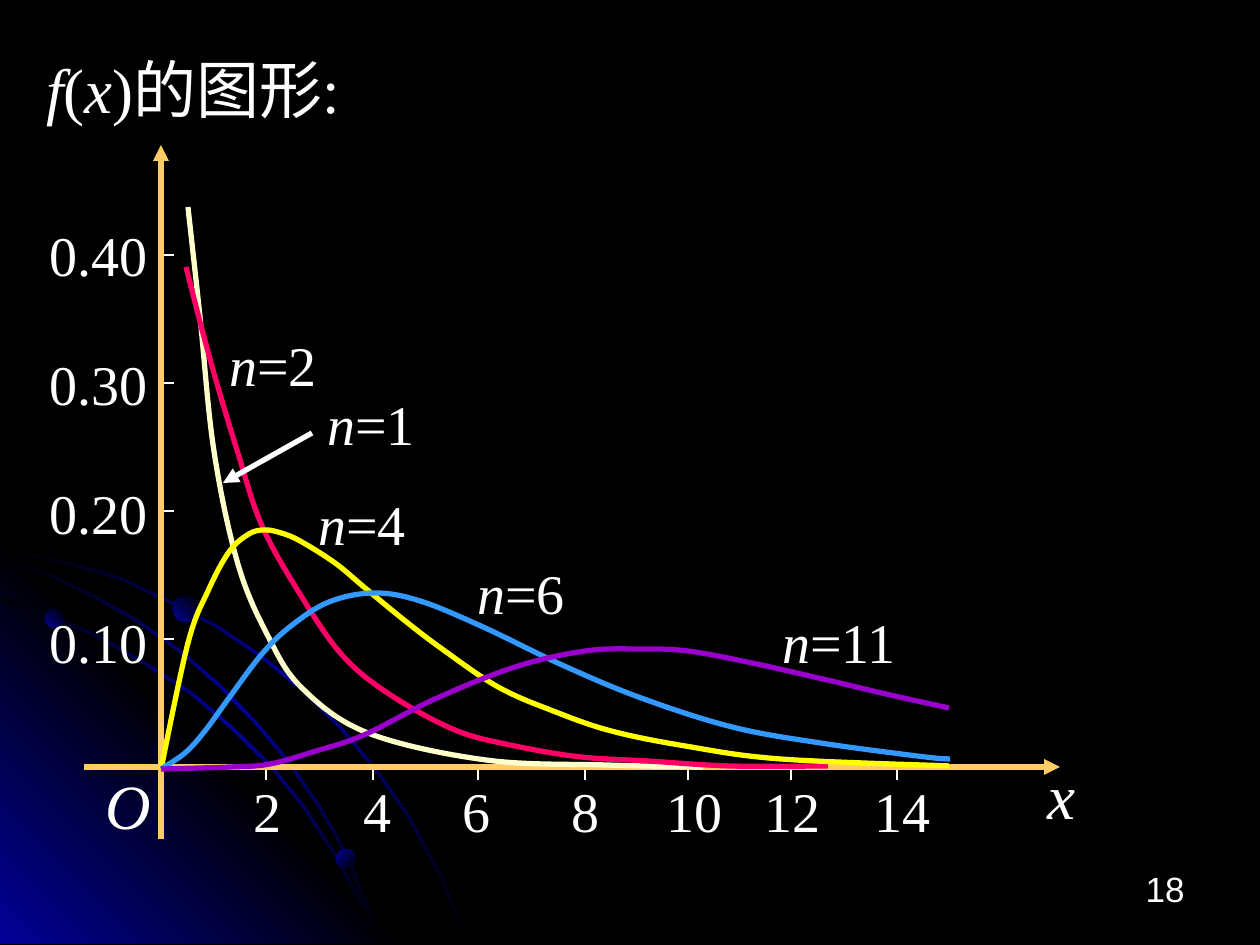
from dataclasses import dataclass

from lxml.etree import SubElement
from pptx import Presentation
from pptx.dml.color import RGBColor
from pptx.enum.shapes import MSO_CONNECTOR, MSO_SHAPE
from pptx.enum.text import PP_ALIGN as Align
from pptx.oxml.ns import qn
from pptx.util import Emu, Pt

EMU_PER_PX = 914400 / 126
WIDTH, HEIGHT = 1260, 945

BLACK = RGBColor(0x00, 0x00, 0x00)
WHITE = RGBColor(0xFF, 0xFF, 0xFF)
NAVY = RGBColor(0x01, 0x01, 0x99)
GOLD = RGBColor(0xFF, 0xCC, 0x66)
CREAM = RGBColor(0xFF, 0xFF, 0xCC)
PINK = RGBColor(0xFF, 0x00, 0x66)
YELLOW = RGBColor(0xFF, 0xFF, 0x00)
BLUE = RGBColor(0x33, 0x99, 0xFF)
PURPLE = RGBColor(0x99, 0x00, 0xCC)

Point = tuple[int, int]


@dataclass
class Density:
    color: RGBColor
    knots: list[Point]
    degrees: str
    label_at: Point


@dataclass
class Ball:
    left: int
    top: int
    size: int
    angle: int


@dataclass
class Label:
    """Runs are pairs of wording and italic."""
    left: int
    top: int
    width: int
    height: int
    runs: list[tuple[str, bool]]
    size: int = 32
    align: Align = Align.CENTER
    font: str = "Times New Roman"


DENSITIES = [
    Density(CREAM, [(188, 207), (200, 316), (214, 451), (238, 564), (268, 636), (302, 688),
                    (368, 733), (486, 760), (606, 765), (703, 767)], "1", (272, 383)),
    Density(PINK, [(186, 267), (210, 359), (237, 450), (263, 528), (305, 602), (343, 656),
                   (389, 694), (455, 730), (515, 746), (581, 757), (648, 761), (730, 766),
                   (828, 766)], "2", (174, 324)),
    Density(YELLOW, [(161, 769), (188, 643), (208, 591), (229, 552), (249, 534), (265, 530),
                     (281, 533), (300, 541), (335, 563), (365, 588), (404, 620), (442, 649),
                     (498, 687), (553, 711), (611, 731), (685, 746), (780, 759),
                     (949, 766)], "4", (263, 483)),
    Density(BLUE, [(161, 769), (185, 753), (205, 731), (229, 698), (262, 654), (291, 626),
                   (329, 602), (374, 593), (420, 601), (483, 627), (562, 665), (641, 698),
                   (732, 727), (820, 743), (925, 757), (950, 759)], "6", (422, 552)),
    Density(PURPLE, [(161, 769), (231, 767), (270, 764), (316, 751), (364, 735), (435, 699),
                     (515, 667), (585, 651), (640, 649), (688, 651), (752, 663), (827, 680),
                     (886, 694), (949, 708)], "11", (740, 601)),
]

OUTER_ORBIT = [
    (0, 548), (72, 563), (123, 578), (171, 601), (219, 626), (263, 656), (305, 690),
    (343, 728), (378, 770), (410, 816), (427, 848), (444, 879), (456, 911), (469, 944)]
INNER_ORBIT = [
    (0, 598), (52, 615), (100, 636), (147, 663), (192, 692), (232, 726), (271, 764),
    (305, 806), (335, 852), (360, 897), (373, 920), (382, 944)]
MIDDLE_ORBIT = [
    (0, 557), (49, 573), (96, 596), (140, 621), (181, 650), (220, 684), (257, 722),
    (289, 760), (320, 805), (339, 838), (355, 873), (370, 907), (382, 944)]
GLOW = [(406, 944), (0, 944), (0, 538)]
BALLS = [Ball(45, 609, 19, 315), Ball(336, 849, 20, 45), Ball(173, 596, 26, 315)]

X_TICKS = [266, 373, 478, 585, 688, 791, 897]
X_LABEL_LEFTS = [223, 333, 432, 541, 650, 748, 858]


def px(length: float) -> Emu:
    return Emu(round(length * EMU_PER_PX))


def add_outline(shapes, points: list[Point], close: bool):
    start, *rest = [(px(x), px(y)) for x, y in points]
    builder = shapes.build_freeform(*start)
    builder.add_line_segments(rest, close=close)
    outline = builder.convert_to_shape()
    outline.shadow.inherit = False
    return outline


def round_off(outline) -> None:
    """Turn the straight segments into Bézier arcs of a Catmull-Rom spline."""
    knots = [(int(pt.get("x")), int(pt.get("y"))) for pt in outline._element.iter(qn("a:pt"))]
    padded = [knots[0], *knots, knots[-1]]
    segments = list(outline._element.iter(qn("a:lnTo")))
    for segment, a, b, c, d in zip(segments, padded, padded[1:], padded[2:], padded[3:]):
        leaving = [q + (r - p) / 6 for p, q, r in zip(a, b, c)]
        arriving = [r - (s - q) / 6 for q, r, s in zip(b, c, d)]
        arc = SubElement(segment.getparent(), qn("a:cubicBezTo"))
        for x, y in (leaving, arriving, c):
            SubElement(arc, qn("a:pt"), x=str(round(x)), y=str(round(y)))
        segment.getparent().remove(segment)


def shade(shape, colors: list[RGBColor], angle: int) -> None:
    """Fill with evenly spaced gradient stops; the angle runs clockwise."""
    shape.line.fill.background()
    shape.fill.gradient()
    shape.fill.gradient_angle = 360 - angle
    stops = shape._element.spPr.find(qn("a:gradFill")).find(qn("a:gsLst"))
    for stop in list(stops):
        stops.remove(stop)
    for index, color in enumerate(colors):
        position = str(100000 * index // (len(colors) - 1))
        stop = SubElement(stops, qn("a:gs"), pos=position)
        SubElement(stop, qn("a:srgbClr"), val=str(color))


def add_orbit(shapes, edge: list[Point]) -> None:
    inner_edge = [(max(x - 2, 0), min(y + 2, 944)) for x, y in reversed(edge)]
    shade(add_outline(shapes, edge + inner_edge, True), [BLACK, NAVY, BLACK], 45)


def add_line(shapes, start: Point, end: Point, color: RGBColor = WHITE,
             weight: float = 0.75, arrow: bool = False) -> None:
    line = shapes.add_connector(MSO_CONNECTOR.STRAIGHT, *map(px, (*start, *end)))
    line.line.color.rgb = color
    line.line.width = Pt(weight)
    if arrow:
        SubElement(line.line._get_or_add_ln(), qn("a:tailEnd"), type="triangle")
    SubElement(line._element.spPr, qn("a:effectLst"))


def add_label(shapes, label: Label) -> None:
    box = shapes.add_textbox(*map(px, (label.left, label.top, label.width, label.height)))
    frame = box.text_frame
    frame.word_wrap = True
    paragraph = frame.paragraphs[0]
    paragraph.alignment = label.align
    for wording, italic in label.runs:
        run = paragraph.add_run()
        run.text = wording
        run.font.color.rgb = WHITE
        font_format = {"name": label.font, "size": Pt(label.size), "italic": italic}
        for attribute, value in font_format.items():
            setattr(run.font, attribute, value)


def draw_backdrop(shapes) -> None:
    add_orbit(shapes, OUTER_ORBIT)
    shade(add_outline(shapes, GLOW, True), [NAVY, BLACK, NAVY], 315)
    add_orbit(shapes, INNER_ORBIT)
    add_orbit(shapes, MIDDLE_ORBIT)
    for ball in BALLS:
        oval = shapes.add_shape(MSO_SHAPE.OVAL, *map(px, (ball.left, ball.top, ball.size, ball.size)))
        oval.shadow.inherit = False
        shade(oval, [NAVY, BLACK], ball.angle)


def draw_axes(shapes) -> None:
    add_line(shapes, (84, 767), (1060, 767), GOLD, 3, arrow=True)
    add_line(shapes, (161, 839), (161, 145), GOLD, 3, arrow=True)
    for index, (tick, left) in enumerate(zip(X_TICKS, X_LABEL_LEFTS), start=1):
        add_line(shapes, (tick, 780), (tick, 770))
        add_label(shapes, Label(left, 770, 89, 79, [(str(2 * index), False)]))
    for index in range(4):
        tick = 639 - 128 * index
        add_line(shapes, (164, tick), (174, tick))
        add_label(shapes, Label(34, 601 - 129 * index, 130, 79,
                                [(f"{(index + 1) / 10:.2f}", False)]))
    add_label(shapes, Label(1017, 750, 89, 88, [("x", True)], 36))
    add_label(shapes, Label(84, 760, 89, 88, [("O", True)], 36))


def draw_densities(shapes) -> None:
    for density in DENSITIES:
        curve = add_outline(shapes, density.knots, False)
        round_off(curve)
        curve.fill.background()
        curve.line.color.rgb = density.color
        curve.line.width = Pt(3)
    add_line(shapes, (312, 433), (223, 483), WHITE, 3, arrow=True)
    for density in DENSITIES:
        add_label(shapes, Label(*density.label_at, 198, 79,
                                [("n", True), (f"={density.degrees}", False)]))


def main() -> None:
    deck = Presentation()
    deck.slide_width, deck.slide_height = px(WIDTH), px(HEIGHT)
    slide = deck.slides.add_slide(deck.slide_layouts[6])
    slide.background.fill.solid()
    slide.background.fill.fore_color.rgb = BLACK
    draw_backdrop(slide.shapes)
    add_label(slide.shapes, Label(903, 861, 294, 63, [("18", False)], 20, Align.RIGHT, "Arial"))
    draw_axes(slide.shapes)
    draw_densities(slide.shapes)
    add_label(slide.shapes, Label(34, 44, 1133, 88, [("f", True), ("(", False), ("x", True),
                                                     (")的图形:", False)], 36, Align.LEFT))
    deck.save("out.pptx")


if __name__ == "__main__":
    main()
